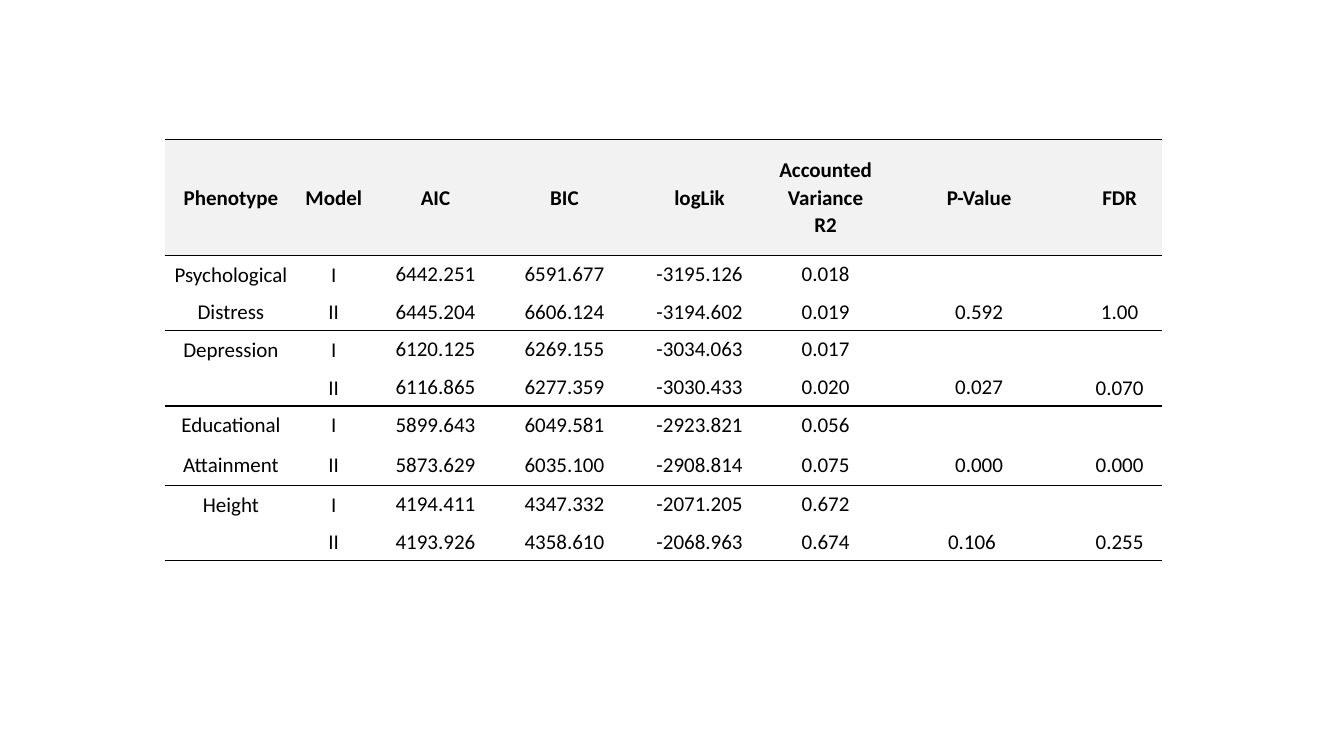
import dataclasses
import pptx
import pptx.dml.color
import pptx.enum.text
import pptx.util
from lxml import etree

Cm = pptx.util.Cm
Pt = pptx.util.Pt
DRAWING = "http://schemas.openxmlformats.org/drawingml/2006/main"
PLAIN_TABLE_STYLE = "{2D5ABB26-0587-4C30-8999-92F81FD0307C}"


@dataclasses.dataclass(frozen=True)
class Theme:
    font: str = "Calibri"
    size: int = 15
    ink: str = "000000"
    header_fill: str = "F2F2F2"
    rule_width: int = 1
    line_spacing: float = 1.07
    label_inset: float = 0.18
    figure_inset: float = 0.02


class SlideBuilder:
    def __init__(self, slide, theme):
        self.slide = slide
        self.theme = theme

    def table(self, left, top, widths, heights):
        frame = self.slide.shapes.add_table(
            len(heights), len(widths), Cm(left), Cm(top),
            Cm(sum(widths)), Cm(sum(heights)))
        table = frame.table
        table.first_row = table.horz_banding = False
        style_id = table._tbl.tblPr.find(f"{{{DRAWING}}}tableStyleId")
        style_id.text = PLAIN_TABLE_STYLE
        for column, width in zip(table.columns, widths):
            column.width = Cm(width)
        for row, height in zip(table.rows, heights):
            row.height = Cm(height)
        return table

    def cell(self, cell, text, is_label, bold=False, fill=None, rules=()):
        theme = self.theme
        inset = theme.label_inset if is_label else theme.figure_inset
        cell.margin_left = cell.margin_right = Cm(inset)
        cell.margin_top = Cm(0 if is_label else theme.figure_inset)
        cell.margin_bottom = 0
        cell.vertical_anchor = pptx.enum.text.MSO_ANCHOR.MIDDLE
        cell.text = text
        paragraph = cell.text_frame.paragraphs[0]
        paragraph.alignment = pptx.enum.text.PP_ALIGN.CENTER
        if is_label:
            paragraph.line_spacing = theme.line_spacing
        font = paragraph.font
        font.name, font.size, font.bold = theme.font, Pt(theme.size), bold
        font.color.rgb = pptx.dml.color.RGBColor.from_string(theme.ink)
        for side in rules:
            self.rule(cell, side)
        if fill:
            cell.fill.solid()
            cell.fill.fore_color.rgb = pptx.dml.color.RGBColor.from_string(fill)
        else:
            cell.fill.background()

    def rule(self, cell, side):
        line = etree.SubElement(cell._tc.get_or_add_tcPr(), f"{{{DRAWING}}}{side}",
                                w=str(Pt(self.theme.rule_width)))
        solid = etree.SubElement(line, f"{{{DRAWING}}}solidFill")
        etree.SubElement(solid, f"{{{DRAWING}}}srgbClr", val=self.theme.ink)


# Model comparison figures
HEADINGS = ["Phenotype", "Model", "AIC", "BIC", "logLik",
            "Accounted Variance R2", "P-Value", "FDR"]
MODELS = [
    ["Psychological", "I", "6442.251", "6591.677", "-3195.126", "0.018", "", ""],
    ["Distress", "II", "6445.204", "6606.124", "-3194.602", "0.019", "0.592", "1.00"],
    ["Depression", "I", "6120.125", "6269.155", "-3034.063", "0.017", "", ""],
    ["", "II", "6116.865", "6277.359", "-3030.433", "0.020", "0.027", "0.070"],
    ["Educational", "I", "5899.643", "6049.581", "-2923.821", "0.056", "", ""],
    ["Attainment", "II", "5873.629", "6035.100", "-2908.814", "0.075", "0.000", "0.000"],
    ["Height", "I", "4194.411", "4347.332", "-2071.205", "0.672", "", ""],
    ["", "II", "4193.926", "4358.610", "-2068.963", "0.674", "0.106", "0.255"],
]
LABEL_COLUMNS = {HEADINGS.index(name) for name in ("Phenotype", "Model", "FDR")}
COLUMN_WIDTHS = [3.3, 1.88, 3.25, 3.25, 3.56, 2.79, 4.95, 2.13]
ROW_HEIGHTS = [2.92] + [0.95] * 5 + [1.05] + [0.95] * 2

# Slide
presentation = pptx.Presentation()
presentation.slide_width = Cm(33.87)
presentation.slide_height = Cm(19.05)
theme = Theme()
builder = SlideBuilder(
    presentation.slides.add_slide(presentation.slide_layouts[6]), theme)
comparison = builder.table(4.17, 3.51, COLUMN_WIDTHS, ROW_HEIGHTS)

# Header row
for column, heading in enumerate(HEADINGS):
    builder.cell(comparison.cell(0, column), heading, is_label=True, bold=True,
                 fill=theme.header_fill, rules=("lnT", "lnB"))

# Two models per phenotype, with a rule below each pair
for row, model in enumerate(MODELS, start=1):
    rules = ("lnB",) if model[1] == "II" else ()
    for column, text in enumerate(model):
        builder.cell(comparison.cell(row, column), text,
                     is_label=column in LABEL_COLUMNS, rules=rules)

# The P-value for height sits slightly left of centre
height_p_value = comparison.cell(len(MODELS), HEADINGS.index("P-Value"))
height_p_value.margin_right = Cm(0.38)

presentation.save("out.pptx")
